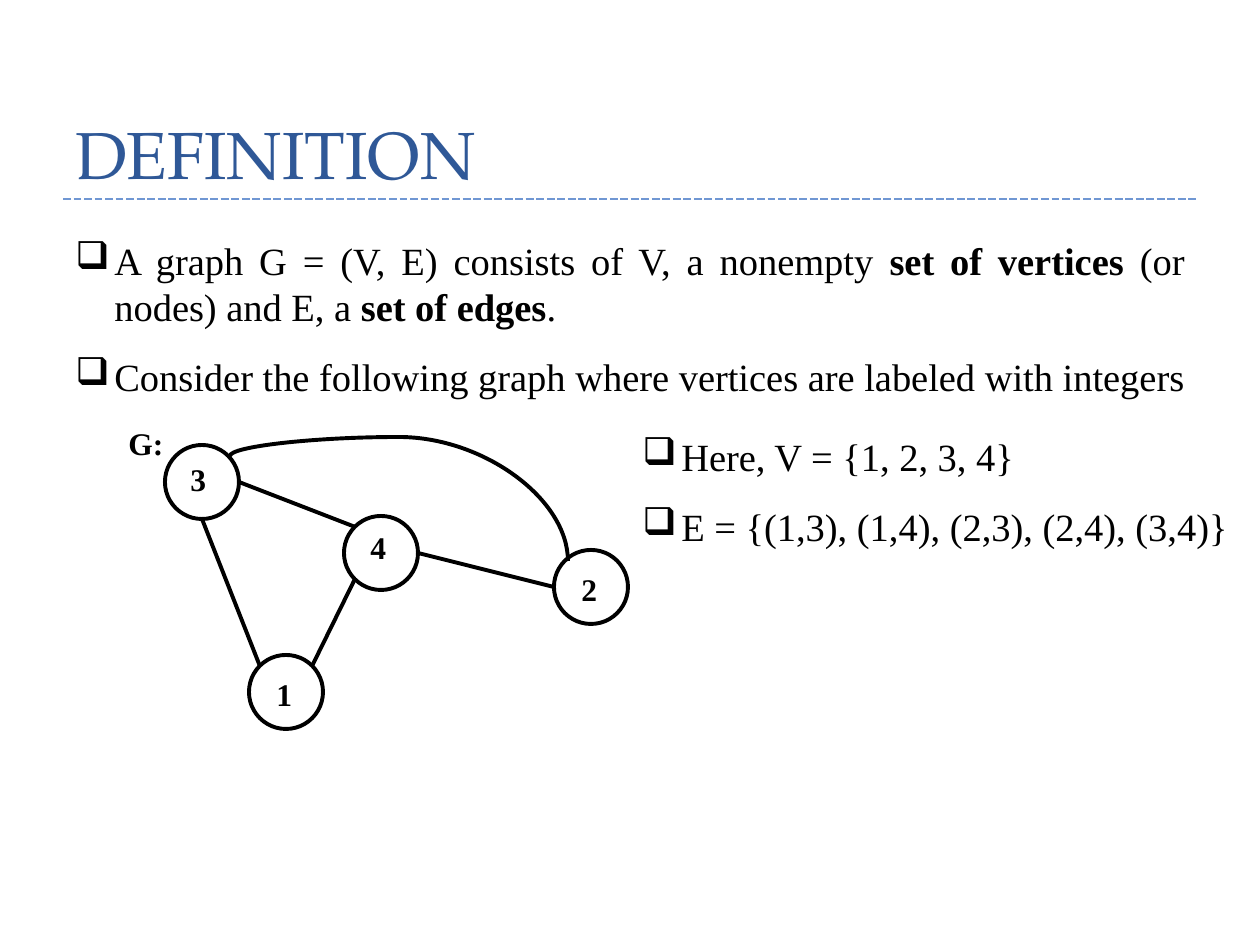
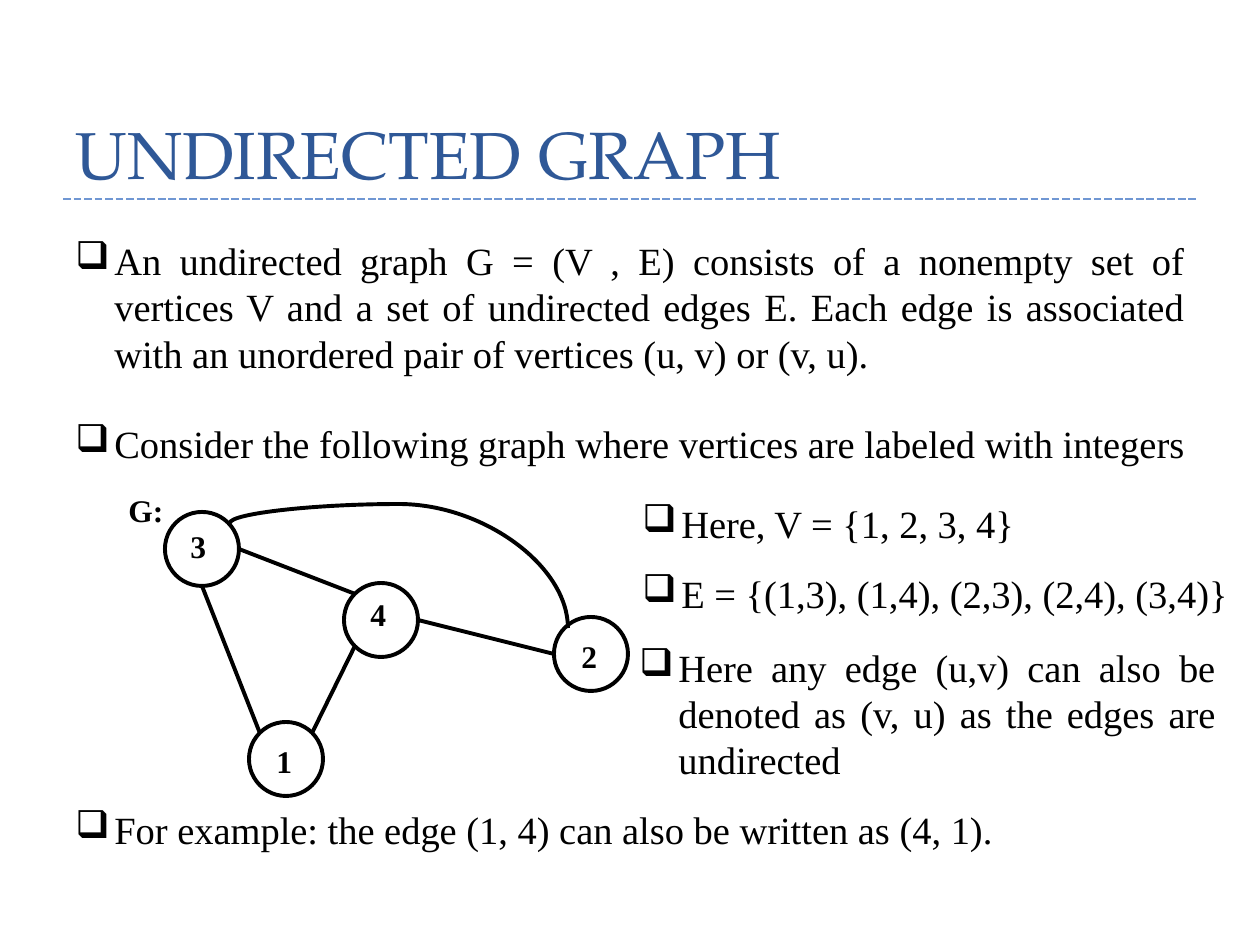
from math import cos, radians, sin

from lxml.etree import SubElement
from pptx import Presentation
from pptx.dml.color import RGBColor
from pptx.enum.dml import MSO_LINE
from pptx.enum.shapes import MSO_CONNECTOR as CXN, MSO_SHAPE as SHAPE
from pptx.enum.text import MSO_ANCHOR as ANCHOR, PP_ALIGN as ALIGN
from pptx.oxml.ns import qn
from pptx.util import Pt

SCALE = 914400 / 126
TITLE_FONT, BODY_FONT = "TeX Gyre Pagella", "Times New Roman"
TITLE_COLOR, RULE_COLOR, INK = "2F5897", "7097D3", "000000"
MARGIN, CONTENT_W = 63, 1134
LINE_H, HANG = 59, 39
NODE_D = 74
RIGHT, BOTTOM_RIGHT, BOTTOM, BOTTOM_LEFT = 0, 45, 90, 135
LEFT, TOP_LEFT, TOP_RIGHT = 180, 225, 315

NODES = {
    "3": ((0, 0), (13, 9)),
    "4": ((179, 71), (14, 6)),
    "1": ((84, 210), (15, 14)),
    "2": ((389, 105), (15, 14)),
}
EDGES = [
    ("3", RIGHT, "4", TOP_LEFT),
    ("4", RIGHT, "2", LEFT),
    ("4", BOTTOM_LEFT, "1", TOP_RIGHT),
    ("3", BOTTOM, "1", TOP_LEFT),
]
SETS = ["Here, V = {1, 2, 3, 4}", "E = {(1,3), (1,4), (2,3), (2,4), (3,4)}"]


def px(*lengths):
    """Turn pixel lengths into a list of EMU."""
    return [round(n * SCALE) for n in lengths]


def color(hex_code):
    """Return the colour for a hex string."""
    return RGBColor.from_string(hex_code)


def add_text(s, box, text, font=BODY_FONT, size=22, ink=INK, bold=False, align=ALIGN.LEFT,
             anchor=ANCHOR.TOP, wrap=True, spacing=None, bullet=None):
    """Add a text box; parts between asterisks switch the weight."""
    tf = s.shapes.add_textbox(*px(*box)).text_frame
    tf.word_wrap, tf.vertical_anchor = wrap, anchor
    p = tf.paragraphs[0]
    p.alignment = align
    if spacing:
        p.line_spacing = Pt(spacing)
    if bullet:
        hang, = px(HANG)
        pPr = p._p.get_or_add_pPr()
        pPr.set("marL", str(hang))
        pPr.set("indent", str(-hang))
        SubElement(pPr, qn("a:buChar")).set("char", bullet)
    for i, part in enumerate(text.split("*")):
        r = p.add_run()
        r.text = part
        r.font.name, r.font.size = font, Pt(size)
        r.font.bold = bold != (i % 2 == 1)
        r.font.color.rgb = color(ink)


def add_bullet(s, x, y, w, text, lines=1, align=ALIGN.LEFT):
    """Add one bulleted statement."""
    add_text(s, (x, y, w, 12 + 47 * lines), text, align=align, bullet="❑")


def add_line(s, begin, end, ink=INK, width=2.25, kind=CXN.STRAIGHT):
    """Add a connector without a shadow."""
    line = s.shapes.add_connector(kind, *px(*begin, *end))
    line.line.color.rgb, line.line.width = color(ink), Pt(width)
    SubElement(line._element.spPr, qn("a:effectLst"))
    return line


def add_arc(s, begin, end, rise):
    """Add a curved edge that leaves upwards and bulges above both ends."""
    (x1, y1), (x2, y2) = begin, end
    cx, cy, half_w, half_h = (x1 + x2) / 2, (y1 + y2) / 2, (x2 - x1) / 2, (y2 - y1) / 2
    arc = add_line(s, (cx + half_h, cy - half_w), (cx - half_h, cy + half_w), kind=CXN.CURVE)
    spPr = arc._element.spPr
    spPr.find(qn("a:xfrm")).set("rot", str(270 * 60000))
    guides = spPr.find(qn("a:prstGeom")).find(qn("a:avLst"))
    guide = SubElement(guides, qn("a:gd"))
    guide.set("name", "adj1")
    guide.set("fmla", f"val {round(-rise / (y2 - y1) * 100000)}")


def add_graph(s, x, y):
    """Draw the four-vertex graph with its top left vertex at x, y."""
    def site(name, angle):
        """Return the point of a vertex's rim at an angle."""
        (dx, dy), _ = NODES[name]
        radius, turn = NODE_D / 2, radians(angle)
        return x + dx + radius * (1 + cos(turn)), y + dy + radius * (1 + sin(turn))

    for dx, dy in (offset for offset, _ in NODES.values()):
        node = s.shapes.add_shape(SHAPE.OVAL, *px(x + dx, y + dy, NODE_D, NODE_D))
        node.shadow.inherit = False
        node.fill.background()
        node.line.color.rgb, node.line.width = color(INK), Pt(2.25)
    for start, start_angle, end, end_angle in EDGES:
        add_line(s, site(start, start_angle), site(end, end_angle))
    add_arc(s, (x + 65, y + 11), (x + 403, y + 116), rise=19)
    label = dict(size=18, bold=True, wrap=False)
    add_text(s, (x - 49, y - 27, 60, 50), "G:", **label)
    for name, ((dx, dy), (lx, ly)) in NODES.items():
        add_text(s, (x + dx + lx, y + dy + ly, 42, 50), name, **label)


def add_example(s, y):
    """Add the sample graph with its lead-in and its two sets."""
    add_bullet(s, MARGIN, y, 1158,
               "Consider the following graph where vertices are labeled with integers")
    add_graph(s, 165, y + 98)
    for i, text in enumerate(SETS):
        add_bullet(s, 630, y + 80 + 70 * i, 619, text)


def add_slide(prs, title, statement, lines, example_y):
    """Add a titled slide with a statement and the sample graph."""
    s = prs.slides.add_slide(prs.slide_layouts[6])
    rule_y = 199
    rule = add_line(s, (MARGIN, rule_y), (MARGIN + CONTENT_W, rule_y), RULE_COLOR, 1.5)
    rule.line.dash_style = MSO_LINE.SQUARE_DOT
    add_text(s, (MARGIN, 0, CONTENT_W, rule_y), title, font=TITLE_FONT, size=38,
             ink=TITLE_COLOR, anchor=ANCHOR.BOTTOM, spacing=58)
    add_bullet(s, MARGIN, 231, CONTENT_W, statement, lines, ALIGN.JUSTIFY)
    add_example(s, example_y)
    return s


def main():
    """Build and save the deck."""
    prs = Presentation()
    prs.slide_width, prs.slide_height = px(1260, 945)
    add_slide(prs, "DEFINITION",
              "A graph G = (V, E) consists of V, a nonempty *set of vertices* (or nodes) "
              "and E, a *set of edges*.", 2, 347)
    s = add_slide(prs, "UNDIRECTED GRAPH",
                  "An undirected graph G = (V , E) consists of a nonempty set of vertices V "
                  "and a set of undirected edges E. Each edge is associated with an unordered "
                  "pair of vertices (u, v) or (v, u).", 3, 414)
    add_bullet(s, 627, 638, 601,
               "Here any edge (u,v) can also be denoted as (v, u) as the edges are undirected",
               3, ALIGN.JUSTIFY)
    add_bullet(s, MARGIN, 800, 954,
               "For example: the edge (1, 4) can also be written as (4, 1).")
    prs.save("out.pptx")


if __name__ == "__main__":
    main()
